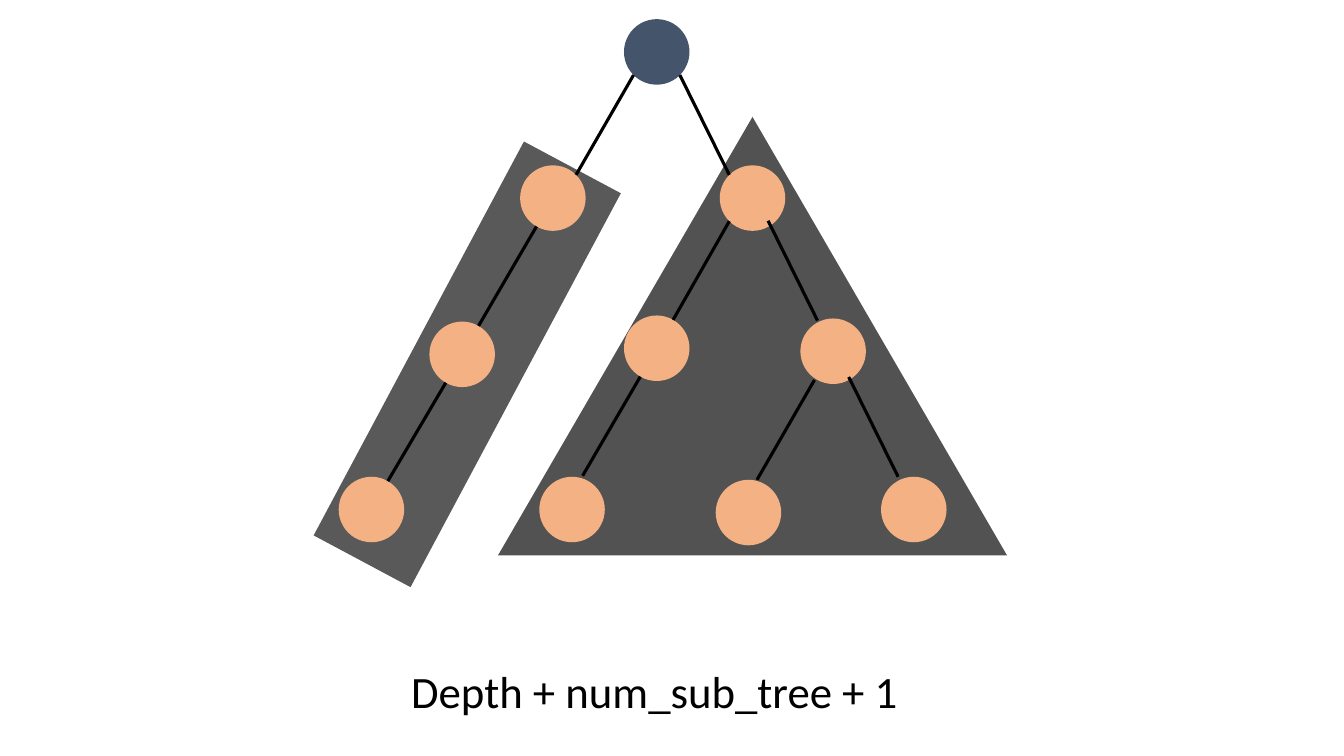
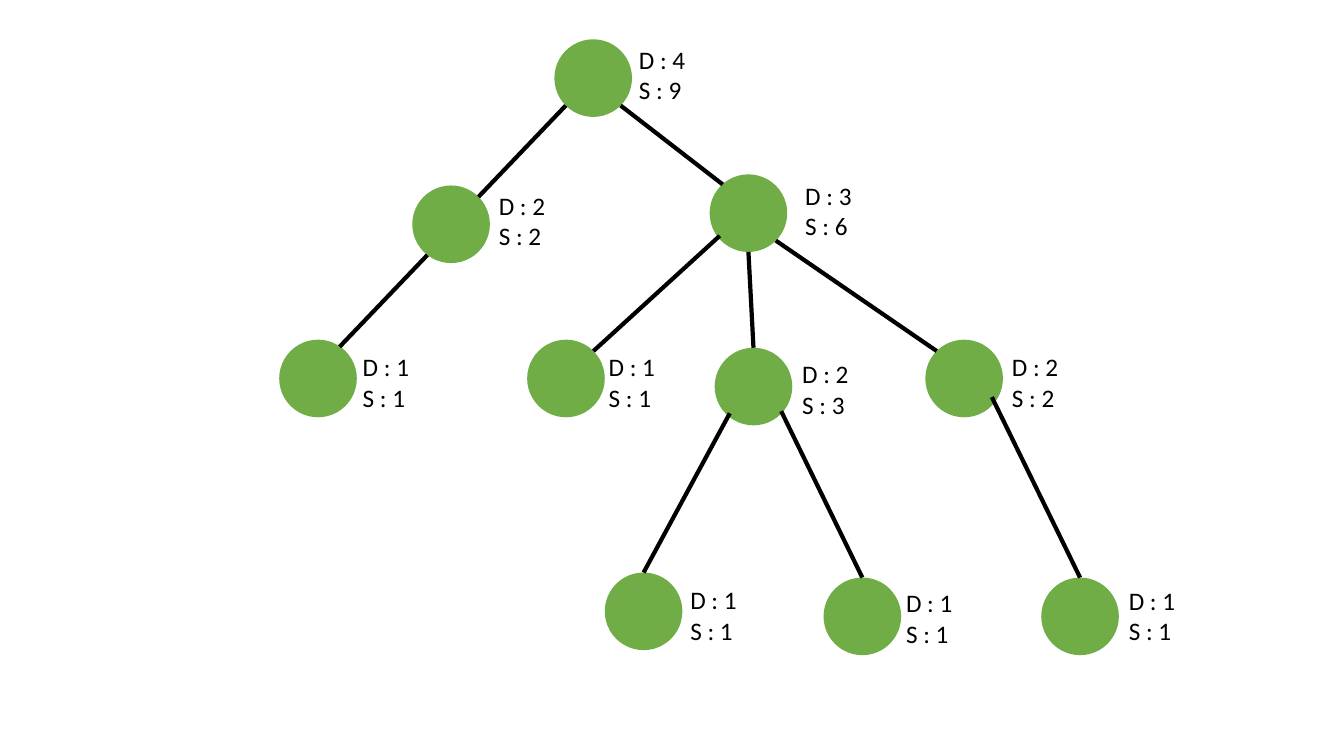
from dataclasses import dataclass
from math import cos, radians, sin

from lxml.etree import SubElement
from pptx import Presentation
from pptx.dml.color import RGBColor
from pptx.enum.shapes import MSO_CONNECTOR, MSO_SHAPE
from pptx.enum.text import MSO_AUTO_SIZE
from pptx.oxml.ns import qn
from pptx.shapes.autoshape import Shape
from pptx.slide import Slide
from pptx.util import Inches, Length, Pt

Spot = tuple[float, float]


@dataclass(frozen=True)
class Theme:
    """Colours, type sizes and line widths of the deck."""
    font: str = "Calibri"
    ink: str = "000000"
    path_band: str = "595959"
    subtree_area: str = "525252"
    root: str = "44546A"
    member: str = "F4B183"
    counted: str = "70AD47"
    formula_size: int = 32
    label_size: int = 18
    thin_edge: float = 2.25
    thick_edge: float = 3


@dataclass(frozen=True)
class Box:
    """Left, top, width and height in grid cells."""
    left: float
    top: float
    width: float
    height: float


@dataclass(frozen=True)
class Label:
    """Depth and size values, with the cell where their text starts."""
    depth: int
    size: int
    left: float
    top: float


@dataclass(frozen=True)
class Node:
    """A tree node by its centre."""
    x: float
    y: float
    color: str
    label: Label | None = None


@dataclass(frozen=True)
class Edge:
    """A branch; leave and arrive are distances from the two node centres."""
    parent: str
    child: str
    leave: Spot
    arrive: Spot


@dataclass(frozen=True)
class Tree:
    """Nodes and branches drawn in one style."""
    radius: float
    edge_width: float
    nodes: dict[str, Node]
    edges: list[Edge]


THEME = Theme()
COLUMNS, ROWS = 133.33, 75  # square cells of a tenth of an inch
CELL = 0.1


def cells(count: float) -> Length:
    """Convert grid cells to a length."""
    return Inches(count * CELL)


def rim(radius: float, angle: float) -> Spot:
    """Distance from a node's centre to its rim at an angle in degrees."""
    return radius * cos(radians(angle)), radius * sin(radians(angle))


def add_filled(slide: Slide, kind: MSO_SHAPE, box: Box, color: str,
               rotation: float = 0) -> Shape:
    """Add a plain filled shape without outline."""
    shape = slide.shapes.add_shape(
        kind, cells(box.left), cells(box.top), cells(box.width), cells(box.height))
    shape.shadow.inherit = False
    shape.fill.solid()
    shape.fill.fore_color.rgb = RGBColor.from_string(color)
    shape.line.fill.background()
    shape.rotation = rotation
    return shape


def add_text(slide: Slide, box: Box, lines: list[str], *, size: float,
             color: str = THEME.ink, font: str = THEME.font) -> None:
    """Add unwrapped text, one paragraph a line."""
    frame = slide.shapes.add_textbox(
        cells(box.left), cells(box.top), cells(box.width), cells(box.height)).text_frame
    frame.word_wrap = False
    frame.auto_size = MSO_AUTO_SIZE.SHAPE_TO_FIT_TEXT
    frame.text = "\n".join(lines)
    for paragraph in frame.paragraphs:
        for run in paragraph.runs:
            run.font.name = font
            run.font.size = Pt(size)
            run.font.color.rgb = RGBColor.from_string(color)


def add_edge(slide: Slide, tree: Tree, edge: Edge) -> None:
    """Draw a branch between the facing sides of parent and child."""
    parent, child = tree.nodes[edge.parent], tree.nodes[edge.child]
    side = 1 if child.x > parent.x else -1
    branch = slide.shapes.add_connector(
        MSO_CONNECTOR.STRAIGHT,
        cells(parent.x + side * edge.leave[0]), cells(parent.y + edge.leave[1]),
        cells(child.x - side * edge.arrive[0]), cells(child.y - edge.arrive[1]))
    branch.line.color.rgb = RGBColor.from_string(THEME.ink)
    branch.line.width = Pt(tree.edge_width)
    SubElement(branch._element.spPr, qn("a:effectLst"))


def add_tree(slide: Slide, tree: Tree) -> None:
    """Draw nodes, then branches, then labels."""
    across = 2 * tree.radius
    for node in tree.nodes.values():
        place = Box(node.x - tree.radius, node.y - tree.radius, across, across)
        add_filled(slide, MSO_SHAPE.OVAL, place, node.color)
    for edge in tree.edges:
        add_edge(slide, tree, edge)
    for node in tree.nodes.values():
        if node.label:
            add_text(slide, Box(node.label.left, node.label.top, 6.7, 7.1),
                     [f"D : {node.label.depth}", f"S : {node.label.size}"],
                     size=THEME.label_size)


def member(x: float, y: float) -> Node:
    """A node of the split tree below its root."""
    return Node(x, y, THEME.member)


def counted(x: float, y: float, depth: int, size: int, left: float, top: float) -> Node:
    """A node labelled with its depth and size."""
    return Node(x, y, THEME.counted, Label(depth, size, left, top))


def split_tree() -> Tree:
    """The tree split into a deepest path and a subtree."""
    radius = 3.25
    diagonal, steep = rim(radius, 45), rim(radius, 60)
    return Tree(radius, THEME.thin_edge, {
        "root": Node(65.15, 5.15, THEME.root),
        "path top": member(54.85, 19.65),
        "subtree top": member(74.65, 19.65),
        "path middle": member(45.85, 35.15),
        "subtree right": member(82.65, 34.85),
        "right leaf": member(90.65, 50.55),
        "path end": member(36.85, 50.55),
        "subtree left": member(65.15, 34.55),
        "left leaf": member(56.75, 50.55),
        "middle leaf": member(74.25, 50.85),
    }, [
        Edge("root", "path top", diagonal, diagonal),
        Edge("path top", "path middle", steep, steep),
        Edge("path middle", "path end", steep, steep),
        Edge("root", "subtree top", diagonal, diagonal),
        Edge("subtree top", "subtree right", (1.55, 2.25), (1.55, 3.05)),
        Edge("subtree right", "right leaf", (1.55, 2.55), (1.55, 3.25)),
        Edge("subtree top", "subtree left", diagonal, steep),
        Edge("subtree left", "left leaf", steep, (1.05, 3.35)),
        Edge("subtree right", "middle leaf", (1.85, 2.85), (0.85, 3.25)),
    ])


def counted_tree() -> Tree:
    """The tree with depth and size at every node."""
    radius = 3.85
    diagonal, pole = rim(radius, 45), rim(radius, 90)
    return Tree(radius, THEME.thick_edge, {
        "root": counted(58.85, 7.75, 4, 9, 62.4, 3.9),
        "left": counted(44.75, 22.25, 2, 2, 48.5, 18.4),
        "right": counted(74.25, 21.15, 3, 6, 78.9, 17.4),
        "left leaf": counted(31.55, 37.55, 1, 1, 35, 34.4),
        "near": counted(56.15, 37.55, 1, 1, 59.4, 34.4),
        "middle": counted(74.75, 38.35, 2, 3, 78.6, 35.1),
        "far": counted(95.65, 37.55, 2, 2, 99.4, 34.4),
        "middle leaf 1": counted(63.85, 60.65, 1, 1, 67.5, 57.5),
        "middle leaf 2": counted(85.55, 61.15, 1, 1, 88.9, 57.8),
        "far leaf": counted(107.15, 61.15, 1, 1, 111, 57.6),
    }, [
        Edge("root", "left", diagonal, diagonal),
        Edge("left", "left leaf", (2.35, 3.05), (2.15, 3.15)),
        Edge("root", "right", diagonal, (2.55, 2.85)),
        Edge("right", "far", diagonal, diagonal),
        Edge("right", "near", (2.85, 2.25), diagonal),
        Edge("right", "middle", pole, pole),
        Edge("middle", "middle leaf 1", (2.35, 2.65), pole),
        Edge("middle", "middle leaf 2", (2.75, 2.45), pole),
        Edge("far", "far leaf", (2.75, 1.85), pole),
    ])


def build_split_slide(slide: Slide) -> None:
    """Show how the count adds a path, a subtree and the root."""
    add_filled(slide, MSO_SHAPE.RECTANGLE, Box(40.9, 14, 10.9, 44.3),
               THEME.path_band, rotation=28.1)
    add_filled(slide, MSO_SHAPE.ISOSCELES_TRIANGLE, Box(49.4, 11.6, 50.5, 43.5),
               THEME.subtree_area)
    add_tree(slide, split_tree())
    add_text(slide, Box(39.8, 65.4, 50.8, 6.4), ["Depth + num_sub_tree + 1"],
             size=THEME.formula_size)


def build_counted_slide(slide: Slide) -> None:
    """Show depth and size through the whole tree."""
    add_tree(slide, counted_tree())


def main() -> None:
    """Build and save the deck."""
    deck = Presentation()
    deck.slide_width, deck.slide_height = cells(COLUMNS), cells(ROWS)
    blank = deck.slide_layouts[6]
    for build in (build_split_slide, build_counted_slide):
        build(deck.slides.add_slide(blank))
    deck.save("out.pptx")


main()
